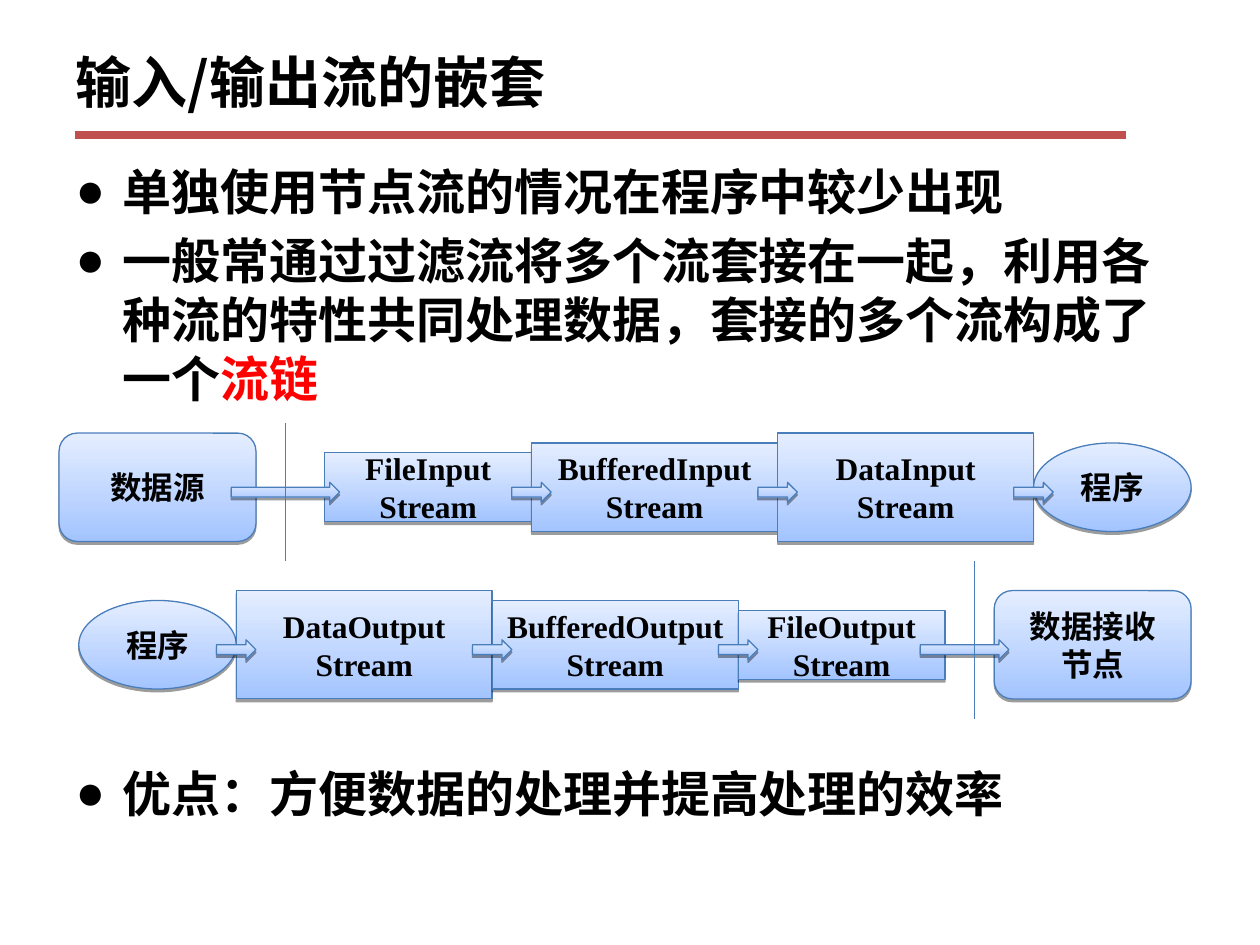
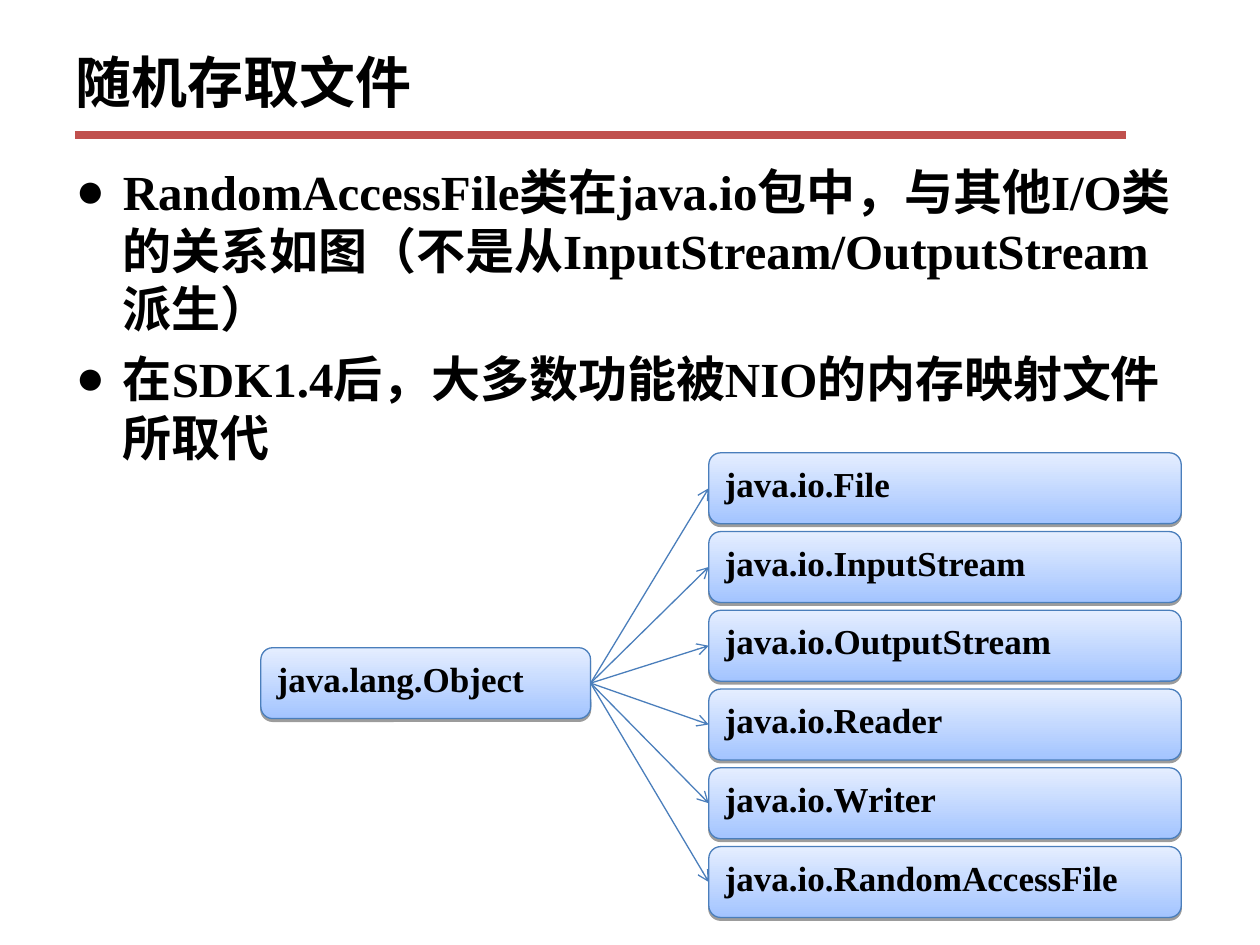
from dataclasses import dataclass
from lxml import etree
from pptx import Presentation
from pptx.dml.color import RGBColor
from pptx.enum.shapes import MSO_CONNECTOR, MSO_SHAPE
from pptx.enum.text import MSO_ANCHOR, MSO_AUTO_SIZE, PP_ALIGN
from pptx.oxml.ns import qn
from pptx.util import Inches, Pt

RECT = MSO_SHAPE.RECTANGLE
ROUND = MSO_SHAPE.ROUNDED_RECTANGLE
OVAL = MSO_SHAPE.OVAL
ARROW = MSO_SHAPE.RIGHT_ARROW
LINE = MSO_CONNECTOR.STRAIGHT
LEFT, CENTER = PP_ALIGN.LEFT, PP_ALIGN.CENTER
TOP, MIDDLE = MSO_ANCHOR.TOP, MSO_ANCHOR.MIDDLE
FIXED = MSO_AUTO_SIZE.NONE

WIDE, HIGH = Inches(10), Inches(7.5)
COLS, ROWS = 128, 96


@dataclass(frozen=True)
class Theme:
    ink: str = "000000"
    hot: str = "FF0000"
    rule: str = "C0504D"
    edge: str = "4A7EBB"
    deep: str = "A3C4FF"
    pale: str = "E5EEFF"
    sans: str = "Noto Sans CJK SC"
    serif: str = "Times New Roman"
    head: int = 32
    body: int = 28
    tree: int = 20
    flow: int = 18


THEME = Theme()
HEAD = (6.4, 2.7, 115.2, 11.1)
BODY = (6.4, 15.75, 115.2, 74.6)
RULE = (7.6, 13.7, 114.4, 13.7)


def col(n):
    return round(WIDE * n / COLS)


def row(n):
    return round(HIGH * n / ROWS)


def frame(box):
    x, y, w, h = box
    return col(x), row(y), col(w), row(h)


def apply(item, form):
    for key, value in form.items():
        setattr(item, key, value)


def node(parent, tag, **attrs):
    return etree.SubElement(parent, qn(tag), attrs)


def write(para, text, size, face=THEME.serif, ink=THEME.ink):
    run = para.add_run()
    run.text = text
    apply(run.font, {"name": face, "size": Pt(size), "bold": True})
    run.font.color.rgb = RGBColor.from_string(ink)
    return run


def link(slide, box, ink=THEME.edge, width=0.75, tip=False):
    x, y, right, low = box
    line = slide.shapes.add_connector(LINE, col(x), row(y), col(right), row(low))
    line.line.width = Pt(width)
    line.line.color.rgb = RGBColor.from_string(ink)
    if tip:
        node(line.line._get_or_add_ln(), "a:tailEnd", type="arrow")
    node(line.element.spPr, "a:effectLst")
    return line


def block(slide, kind, box, lines=(), size=THEME.flow, align=CENTER, anchor=MIDDLE):
    shape = slide.shapes.add_shape(kind, *frame(box))
    shape.fill.gradient()
    shape.fill.gradient_angle = 90
    for stop, ink in zip(shape.fill.gradient_stops, (THEME.deep, THEME.pale)):
        stop.color.rgb = RGBColor.from_string(ink)
    for stop, place in zip(shape.fill.gradient_stops, (0, 1)):
        stop.position = place
    shape.line.width = Pt(0.75)
    shape.line.color.rgb = RGBColor.from_string(THEME.edge)
    shape.shadow.inherit = False
    glow = node(shape.element.spPr.find(qn("a:effectLst")), "a:outerShdw",
                dist=str(Pt(1.6)), dir="5400000", rotWithShape="0")
    node(node(glow, "a:srgbClr", val=THEME.ink), "a:alpha", val="38000")
    text = shape.text_frame
    apply(text, {"word_wrap": True, "vertical_anchor": anchor})
    for i, words in enumerate(lines):
        para = text.add_paragraph() if i else text.paragraphs[0]
        para.alignment = align
        write(para, words, size)
    return shape


def bullet(para, parts, gap):
    para.space_before = Pt(gap)
    props = para._p.get_or_add_pPr()
    hang = Inches(0.375)
    props.set("marL", str(hang))
    props.set("indent", str(-hang))
    node(node(props, "a:buClr"), "a:srgbClr", val=THEME.ink)
    node(props, "a:buFont", typeface=THEME.serif)
    node(props, "a:buChar", char="●")
    for words, ink in parts:
        write(para, words, THEME.body, ink=ink)


def page(deck, title, items):
    slide = deck.slides.add_slide(deck.slide_layouts[1])
    head, body = slide.placeholders
    apply(head.text_frame, {"vertical_anchor": MIDDLE, "auto_size": FIXED})
    para = head.text_frame.paragraphs[0]
    para.alignment = LEFT
    run = write(para, title, THEME.head, THEME.sans)
    node(run.font._element, "a:ea", typeface=THEME.sans)
    text = body.text_frame
    text.auto_size = FIXED
    for i, (parts, gap) in enumerate(items):
        para = text.add_paragraph() if i else text.paragraphs[0]
        bullet(para, parts, gap)
    return slide


def share(deck, slide):
    layout = deck.slide_layouts[1]
    for spot, box in zip(layout.placeholders, (HEAD, BODY)):
        apply(spot, dict(zip(("left", "top", "width", "height"), frame(box))))
    rule = link(slide, RULE, THEME.rule, 4.5)
    rule.element.nvCxnSpPr.cNvPr.set("id", "20")
    layout.shapes.element.append(rule.element)


def chain(slide, box, steps, wall):
    x, y, _, h = box
    mid = y + h / 2
    joins = []
    for kind, wide, tall, gap, lines in steps:
        block(slide, kind, (x, mid - tall / 2, wide, tall), lines)
        joins.append((x + wide, gap))
        x += wide + gap
    for start, gap in joins[:-1]:
        block(slide, ARROW, (start - 2 - (gap > 0) * 0.5, mid - 0.5, gap + 4, 2))
    link(slide, (wall[0], wall[1], wall[0], wall[2]))


def tree(slide, box, root, names):
    x, y, w, h = box
    size, step = 7.2, 8
    form = {"size": THEME.tree, "align": LEFT, "anchor": TOP}
    base = block(slide, ROUND, (x, y + 19.8, 33.5, size), [root], **form)
    for i, name in enumerate(names):
        leaf = block(slide, ROUND, (x + w - 48, y + i * step, 48, size), [name], **form)
        line = link(slide, (0, 0, 1, 1), tip=True)
        line.begin_connect(base, 3)
        line.end_connect(leaf, 1)


def nest(deck):
    slide = page(deck, "输入/输出流的嵌套", [
        ([("单独使用节点流的情况在程序中较少出现", THEME.ink)], 6),
        ([("一般常通过过滤流将多个流套接在一起，利用各种流的特性共同处理数据，"
           "套接的多个流构成了一个", THEME.ink), ("流链", THEME.hot)], 6),
        ([("优点：方便数据的处理并提高处理的效率", THEME.ink)], 203.5),
    ])
    chain(slide, (6, 44, 115, 11), [
        (ROUND, 20, 11, 7, ["数据源"]),
        (RECT, 21, 7, 0, ["FileInput", "Stream"]),
        (RECT, 25, 9, 0, ["BufferedInput", "Stream"]),
        (RECT, 26, 11, 0, ["DataInput", "Stream"]),
        (OVAL, 16, 9, 0, ["程序"]),
    ], (29, 43, 57))
    chain(slide, (8, 60, 113, 11), [
        (OVAL, 16, 9, 0, ["程序"]),
        (RECT, 26, 11, 0, ["DataOutput", "Stream"]),
        (RECT, 25, 9, 0, ["BufferedOutput", "Stream"]),
        (RECT, 21, 7, 5, ["FileOutput", "Stream"]),
        (ROUND, 20, 11, 0, ["数据接收", "节点"]),
    ], (99, 57, 73))
    return slide


def access(deck):
    slide = page(deck, "随机存取文件", [
        ([("RandomAccessFile类在java.io包中，与其他I/O类的关系如图"
           "（不是从InputStream/OutputStream派生）", THEME.ink)], 6),
        ([("在SDK1.4后，大多数功能被NIO的内存映射文件所取代", THEME.ink)], 6),
    ])
    kinds = ("File", "InputStream", "OutputStream", "Reader", "Writer",
             "RandomAccessFile")
    tree(slide, (26.5, 46, 93.5, 47.2), "java.lang.Object",
         [f"java.io.{kind}" for kind in kinds])


def main():
    deck = Presentation()
    apply(deck, {"slide_width": WIDE, "slide_height": HIGH})
    share(deck, nest(deck))
    access(deck)
    deck.save("out.pptx")


if __name__ == "__main__":
    main()
